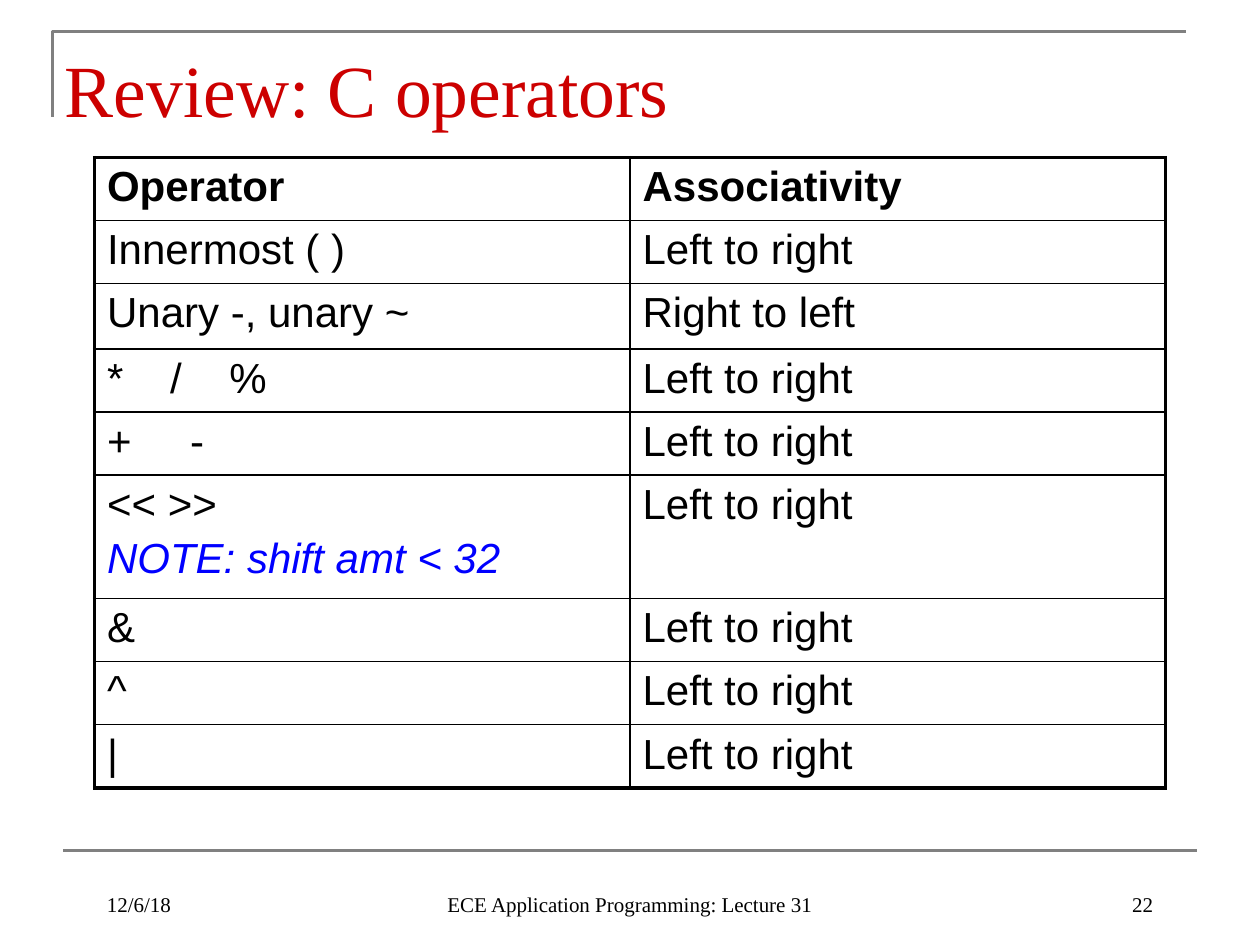
from dataclasses import dataclass

from lxml import etree
from pptx import Presentation
from pptx import util as u
from pptx.dml.color import RGBColor
from pptx.enum import shapes, text
from pptx.oxml.ns import qn

W, H = u.Inches(10), u.Inches(7.5)


@dataclass(frozen=True)
class Theme:
    title: str = "CC0000"
    ink: str = "000000"
    note: str = "0000FF"
    rule: str = "808080"
    serif: str = "Times New Roman"
    sans: str = "Arial"
    title_size: float = 42
    body_size: float = 24
    footer_size: float = 12
    rule_width: float = 1.5
    outer: float = 2.25
    inner: float = 1


T = Theme()
LEFT = "Left to right"
ROWS = [
    (["Operator"], "Associativity", 0.5),
    (["Innermost ( )"], LEFT, 0.5),
    (["Unary -, unary ~"], "Right to left", 0.52),
    (["*\t/\t%"], LEFT, 0.5),
    (["+\t-"], LEFT, 0.5),
    (["<< >>", "NOTE: shift amt < 32"], LEFT, 0.98),
    (["&"], LEFT, 0.5),
    (["^"], LEFT, 0.5),
    (["|"], LEFT, 0.5),
]
TABS = {"*\t/\t%": [0.5, 0.97], "+\t-": [0.66]}


def box(x, y, w, h):
    return [round(v) for v in (x * W, y * H, w * W, h * H)]


def write(p, words, color, **fmt):
    r = p.add_run()
    r.text = words
    for key, value in fmt.items():
        setattr(r.font, key, value)
    r.font.color.rgb = RGBColor.from_string(color)


def add_label(s, words, place, color, size, anchor, align):
    tf = s.shapes.add_textbox(*box(*place)).text_frame
    tf.word_wrap = True
    tf.vertical_anchor = anchor
    p = tf.paragraphs[0]
    p.alignment = align
    write(p, words, color, name=T.serif, size=u.Pt(size))


def style_rule(line):
    line.color.rgb = RGBColor.from_string(T.rule)
    line.width = u.Pt(T.rule_width)


def add_corner(s):
    x, y, w, h = box(1 / 24, 1 / 30, 0.9, 0.09)
    fb = s.shapes.build_freeform(x, y + h)
    fb.add_line_segments([(x, y), (x + w, y)], close=False)
    sp = fb.convert_to_shape()
    sp.shadow.inherit = False
    sp.fill.background()
    style_rule(sp.line)


def add_rule(s):
    x, y, w, _ = box(0.05, 0.9, 0.9, 0)
    sp = s.shapes.add_connector(shapes.MSO_CONNECTOR.STRAIGHT, x, y, x + w, y)
    etree.SubElement(sp._element.spPr, qn("a:effectLst"))
    style_rule(sp.line)


def set_borders(cell, widths):
    tcPr = cell._tc.get_or_add_tcPr()
    for i, (side, width) in enumerate(widths.items()):
        ln = etree.Element(qn(f"a:ln{side}"), w=str(u.Pt(width)))
        fill = etree.SubElement(ln, qn("a:solidFill"))
        etree.SubElement(fill, qn("a:srgbClr"), val=T.ink)
        tcPr.insert(i, ln)


def set_tabs(p, stops):
    tabs = etree.SubElement(p._p.get_or_add_pPr(), qn("a:tabLst"))
    for stop in stops:
        etree.SubElement(tabs, qn("a:tab"), pos=str(u.Inches(stop)), algn="l")


def fill_cell(cell, lines, bold):
    cell.fill.background()
    tf = cell.text_frame
    for i, words in enumerate(lines):
        p = tf.add_paragraph() if i else tf.paragraphs[0]
        if i:
            p.space_before = u.Pt(4)
        if words in TABS:
            set_tabs(p, TABS[words])
        write(p, words, T.note if i else T.ink, name=T.sans,
              size=u.Pt(T.body_size), bold=bold, italic=i > 0)


def add_operators(s):
    last = len(ROWS) - 1
    table = s.shapes.add_table(len(ROWS), 2, *box(0.075, 1 / 6, 0.85, 2 / 3)).table
    table.first_row = table.horz_banding = False
    for i, (operators, order, height) in enumerate(ROWS):
        table.rows[i].height = u.Inches(height)
        for j, lines in enumerate((operators, [order])):
            cell = table.cell(i, j)
            fill_cell(cell, lines, i == 0)
            edges = {"L": j == 0, "R": j == 1, "T": i == 0, "B": i == last}
            set_borders(cell, {side: T.outer if edge else T.inner
                               for side, edge in edges.items()})


def main():
    prs = Presentation()
    prs.slide_width, prs.slide_height = W, H
    s = prs.slides.add_slide(prs.slide_layouts[6])
    anchor, align = text.MSO_ANCHOR, text.PP_ALIGN
    add_corner(s)
    add_rule(s)
    add_label(s, "Review: C operators", (1 / 24, 1 / 30, 0.85, 0.12),
              T.title, T.title_size, anchor.MIDDLE, align.LEFT)
    add_operators(s)
    for words, x, w, side in (
        ("12/6/18", 0.075, 0.21, align.LEFT),
        ("ECE Application Programming: Lecture 31", 0.34, 0.32, align.CENTER),
        ("22", 0.715, 0.21, align.RIGHT),
    ):
        add_label(s, words, (x, 0.91, w, 1 / 15), T.ink, T.footer_size,
                  anchor.BOTTOM, side)
    prs.save("out.pptx")


if __name__ == "__main__":
    main()
